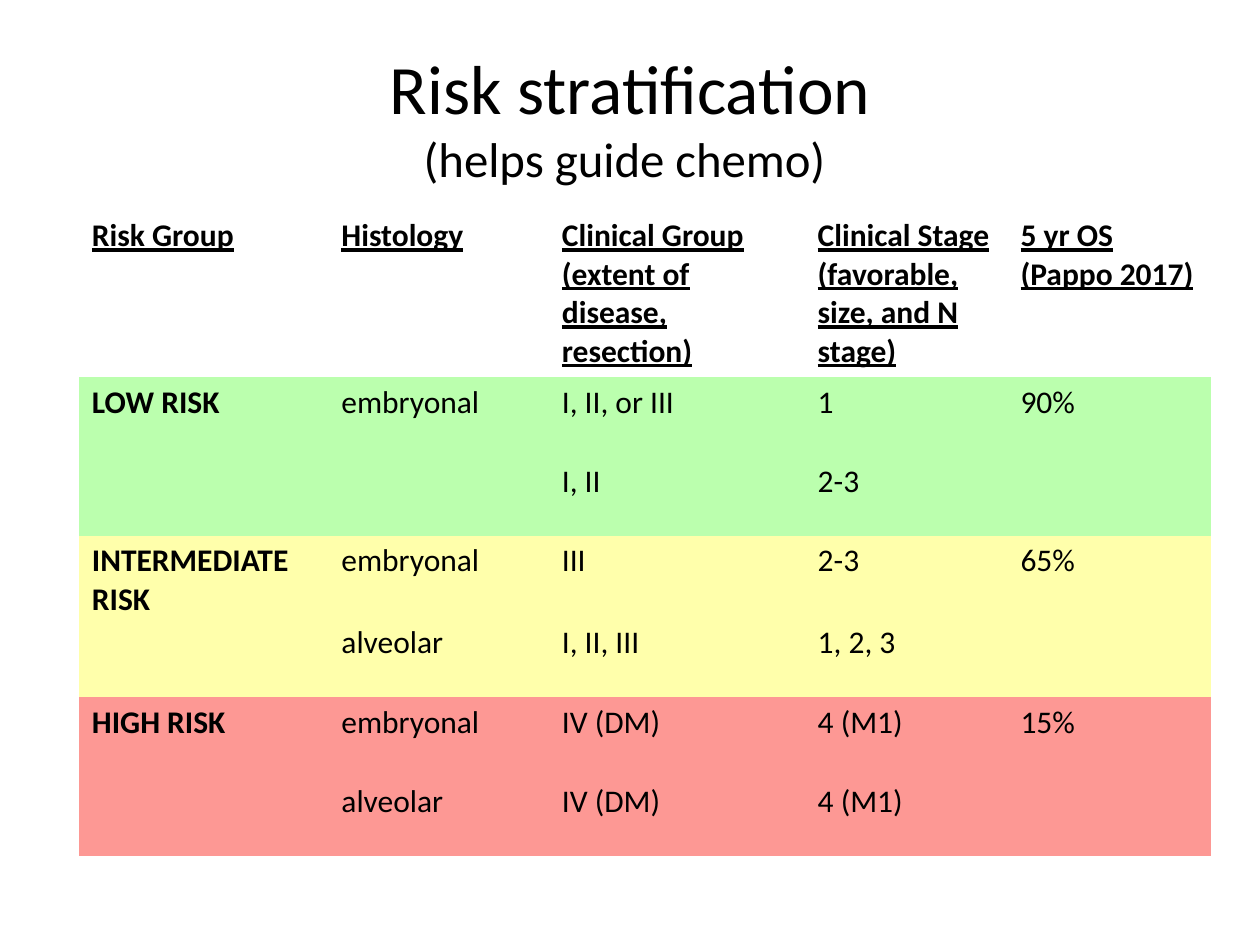
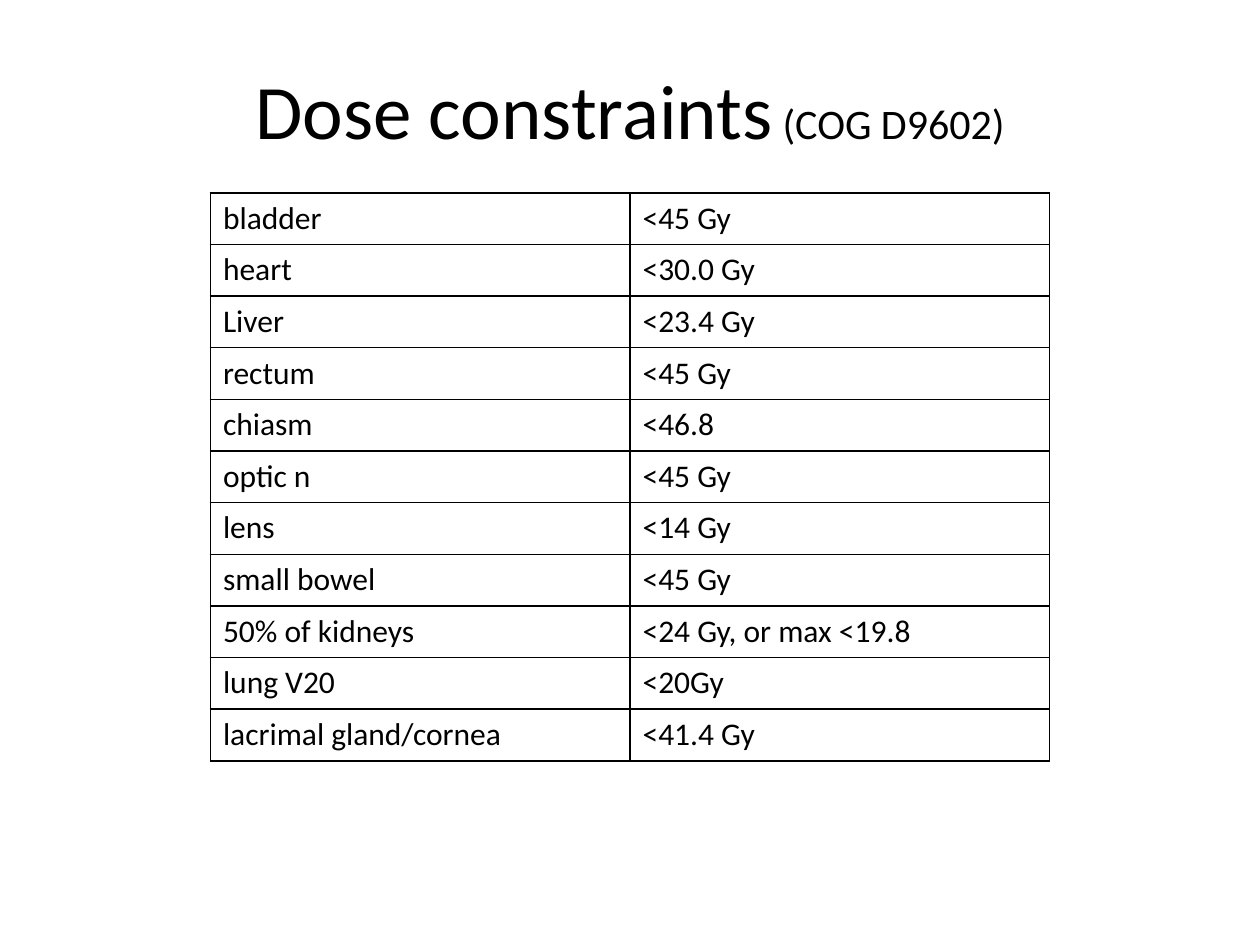
from lxml import etree
from pptx import Presentation
from pptx import util as u
from pptx.dml.color import RGBColor
from pptx.enum import text
from pptx.oxml.ns import qn

PX = u.Inches(1) // 100
INK = "000000"
FONT = "Calibri"
BODY_SIZE = 18
PLAIN_TABLE = "{2D5ABB26-0587-4C30-8999-92F81FD0307C}"
TITLE_ONLY = 5

LOW, MIDDLE, HIGH = "BBFFAE", "FFFFAB", "FD9894"
RISK_HEADER = ["Risk Group", "Histology",
               "Clinical Group\n(extent of disease, resection)",
               "Clinical Stage\n(favorable, size, and N stage)",
               "5 yr OS\n(Pappo 2017)"]
RISK_ROWS = [
    (LOW, ["LOW RISK", "embryonal", "I, II, or III", "1", "90%"]),
    (LOW, ["", "", "I, II", "2-3", ""]),
    (MIDDLE, ["INTERMEDIATE RISK", "embryonal", "III", "2-3", "65%"]),
    (MIDDLE, ["", "alveolar", "I, II, III", "1, 2, 3", ""]),
    (HIGH, ["HIGH RISK", "embryonal", "IV (DM)", "4 (M1)", "15%"]),
    (HIGH, ["", "alveolar", "IV (DM)", "4 (M1)", ""]),
]
DOSES = [
    ("bladder", "<45 Gy"),
    ("heart", "<30.0 Gy"),
    ("Liver", "<23.4 Gy"),
    ("rectum", "<45 Gy"),
    ("chiasm", "<46.8"),
    ("optic n", "<45 Gy"),
    ("lens", "<14 Gy"),
    ("small bowel", "<45 Gy"),
    ("50% of kidneys", "<24 Gy, or max <19.8"),
    ("lung V20", "<20Gy"),
    ("lacrimal gland/cornea", "<41.4 Gy"),
]


def color(value):
    return RGBColor.from_string(value)


class Slides:
    """The deck, its shared style and the slide being built."""

    def __init__(self):
        self.deck = Presentation()
        self.deck.slide_width = 1000 * PX
        self.deck.slide_height = 750 * PX
        self.page = None

    def new_page(self):
        layout = self.deck.slide_layouts[TITLE_ONLY]
        self.page = self.deck.slides.add_slide(layout)

    def style(self, span, **formats):
        for name, value in {"name": FONT, **formats}.items():
            setattr(span.font, name, value)
        span.font.color.rgb = color(INK)

    def title(self, top, spans, stacked=False):
        """Write (words, size) spans on one line, or one below the other."""
        box = self.page.shapes.title
        place = {"left": 50, "top": top, "width": 900, "height": 125}
        for name, value in place.items():
            setattr(box, name, value * PX)
        frame = box.text_frame
        frame.auto_size = text.MSO_AUTO_SIZE.NONE
        frame.vertical_anchor = text.MSO_ANCHOR.MIDDLE
        para = frame.paragraphs[0]
        para.alignment = text.PP_ALIGN.CENTER
        for index, (words, size) in enumerate(spans):
            if stacked and index:
                para.add_line_break()
            span = para.add_run()
            span.text = words
            self.style(span, size=u.Pt(size))

    def table(self, left, top, widths, heights):
        frame = self.page.shapes.add_table(
            len(heights), len(widths), left * PX, top * PX,
            sum(widths) * PX, sum(heights) * PX)
        table = frame.table
        table.first_row = table.horz_banding = False
        table._tbl.tblPr.find(qn("a:tableStyleId")).text = PLAIN_TABLE
        for column, width in zip(table.columns, widths):
            column.width = width * PX
        for row, height in zip(table.rows, heights):
            row.height = height * PX
        return table

    def cell(self, cell, words, fill=None, **formats):
        if fill:
            cell.fill.solid()
            cell.fill.fore_color.rgb = color(fill)
        else:
            cell.fill.background()
        if not words:
            return
        cell.text = words
        for para in cell.text_frame.paragraphs:
            for span in para.runs:
                self.style(span, size=u.Pt(BODY_SIZE), **formats)

    def borders(self, cell):
        """Outline a cell; the lines must precede its fill in the XML."""
        properties = cell._tc.get_or_add_tcPr()
        for index, side in enumerate("LRTB"):
            line = etree.Element(qn(f"a:ln{side}"), w=str(u.Pt(1)))
            fill = etree.SubElement(line, qn("a:solidFill"))
            etree.SubElement(fill, qn("a:srgbClr"), val=INK)
            properties.insert(index, line)


def risk_slide(slides):
    slides.new_page()
    slides.title(30, [("Risk stratification", 39.6),
                      ("(helps guide chemo) ", 27.9)], stacked=True)
    table = slides.table(63, 167, [198, 175, 203, 161, 161],
                         [127, 63, 63, 65, 63, 63, 63])
    for column, words in enumerate(RISK_HEADER):
        slides.cell(table.cell(0, column), words, bold=True, underline=True)
    for row, (fill, entries) in enumerate(RISK_ROWS, 1):
        for column, words in enumerate(entries):
            slides.cell(table.cell(row, column), words, fill,
                        bold=column == 0)
    for row, column in [(1, 0), (1, 1), (3, 0), (5, 0)]:
        table.cell(row, column).merge(table.cell(row + 1, column))


def dose_slide(slides):
    slides.new_page()
    slides.title(24, [("Dose constraints", 44), (" (COG D9602)", 24)])
    table = slides.table(167, 153, [333] * 2, [41] * len(DOSES))
    for row, entries in enumerate(DOSES):
        for column, words in enumerate(entries):
            cell = table.cell(row, column)
            slides.cell(cell, words)
            slides.borders(cell)


def main():
    slides = Slides()
    risk_slide(slides)
    dose_slide(slides)
    slides.deck.save("out.pptx")


if __name__ == "__main__":
    main()
